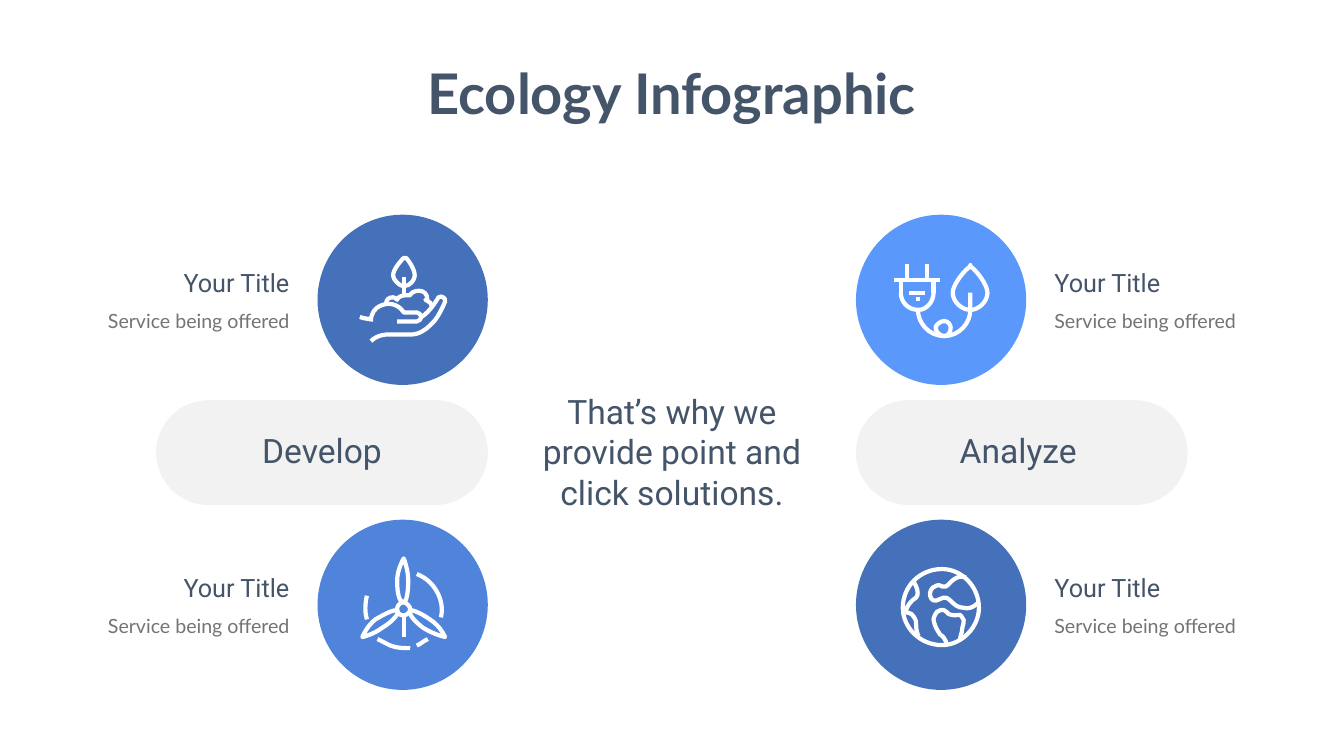
from dataclasses import dataclass

from lxml import etree
from pptx import Presentation
from pptx.dml.color import RGBColor
from pptx.enum.shapes import MSO_CONNECTOR, MSO_SHAPE
from pptx.enum.text import MSO_AUTO_SIZE, PP_ALIGN
from pptx.oxml.ns import qn
from pptx.util import Cm, Pt

LEFT, CENTER, RIGHT = PP_ALIGN.LEFT, PP_ALIGN.CENTER, PP_ALIGN.RIGHT
OVAL, PILL = MSO_SHAPE.OVAL, MSO_SHAPE.ROUNDED_RECTANGLE
STRAIGHT = MSO_CONNECTOR.STRAIGHT
GROW = MSO_AUTO_SIZE.SHAPE_TO_FIT_TEXT

SLATE = RGBColor(0x44, 0x54, 0x69)
GRAY = RGBColor(0x73, 0x75, 0x72)
PILL_GRAY = RGBColor(0x80, 0x80, 0x80)
WHITE = RGBColor(0xFF, 0xFF, 0xFF)
SKY = RGBColor(0x5B, 0x98, 0xFB)
NAVY = RGBColor(0x45, 0x70, 0xBA)
BLUE = RGBColor(0x4F, 0x84, 0xDA)

DIAMETER = 8.58
LEFT_X, RIGHT_X = 20.29, 47.42
TOP_Y, BOTTOM_Y = 15.11, 30.48
ICON_UNIT = 0.0254

Stroke = tuple[int, ...]

PLUG: list[Stroke] = [
    (58, -66, 58, -70, 58, -70, 58, -66, 49, -62, 23, -31, 23, -14, 23, 3, 40, 20, 58, 20,
     75, 20, 92, 3, 92, -14, 92, -31, 67, -62, 58, -66),
    (-15, -40, -15, -14),
    (-80, -14, -80, -41),
    (-15, -14, -15, 3, -28, 20, -45, 20, -67, 20, -80, 3, -80, -14),
    (-93, -40, -2, -40),
    (-67, -40, -67, -71),
    (-28, -40, -28, -71),
    (-63, -14, -32, -14),
    (-50, -1, -41, -1),
    (-46, 20, -46, 46, -24, 72, 6, 72, 36, 72, 58, 46, 58, 20, 58, -14, 58, -14, 58, -14),
    (19, 55, 19, 63, 15, 72, 6, 72, -2, 72, -11, 63, -11, 55, -11, 51, -2, 42, 6, 42,
     15, 42, 19, 51, 19, 55),
]
HAND: list[Stroke] = [
    (-11, 43, 28, 43, 28, 43, 28, 43, 32, 43, 37, 38, 37, 34, 37, 30, 32, 25, 28, 25,
     2, 25, 2, 25, 2, 25, 2, 25, -7, 8, -28, 8, -28, 8, -63, 8, -63, 43),
    (37, 34, 54, 25, 71, -5, 71, -5, 75, -5, 80, -9, 80, -5, 84, -5, 84, -1, 84, 4,
     71, 34, 63, 43, 54, 51, 45, 60, 32, 69, 15, 69, -32, 69, -32, 69, -32, 69,
     -32, 69, -50, 69, -63, 82),
    (-63, 38, -63, 38, -76, 38, -85, 34),
    (7, -83, 2, -83, 2, -83, 2, -83, -2, -79, -19, -61, -19, -48, -19, -40, -6, -27, 2, -27,
     15, -27, 24, -40, 24, -48, 24, -61, 11, -79, 7, -83),
    (2, -9, 2, -45),
    (58, 13, 58, 8, 54, 4, 45, 0, 49, 0, 49, 0, 49, 0, 49, -13, 41, -18, 32, -18,
     23, -18, 15, -13, 15, -9, 10, -9, 10, -9, 6, -9, -2, -9, -11, -5, -11, 0,
     -15, -5, -20, -5, -20, -5, -28, -5, -33, 0, -33, 8),
]
GLOBE: list[Stroke] = [
    (75, 6, 75, 45, 40, 80, 2, 80, -42, 80, -76, 45, -76, 6, -76, -37, -42, -71, 2, -71,
     40, -71, 75, -37, 75, 6),
    (49, -54, 49, -54, 36, -62, 19, -45, 2, -24, 2, -45, -11, -37, -29, -32, -24, 2, -3, -11,
     19, -24, 19, 6, 45, 6, 62, 11, 75, -6, 75, -6),
    (37, 72, 37, 72, 37, 67, 41, 54, 41, 41, 50, 32, 41, 24, 37, 15, 33, 24, 20, 20,
     11, 20, 11, 7, -2, 11, -11, 11, -15, 28, -15, 28, -15, 28, -15, 41, -2, 59,
     11, 67, 11, 80, 11, 80),
    (-54, -45, -54, -45, -37, -19, -54, -11, -67, -2, -71, 15, -71, 15),
    (-71, 15, -71, 15, -58, 15, -54, 24, -45, 37, -54, 41, -45, 62),
]
TURBINE: list[Stroke] = [
    (15, 8, 15, 16, 7, 21, 2, 21, -7, 21, -11, 16, -11, 8, -11, 4, -7, -5, 2, -5,
     7, -5, 15, 4, 15, 8),
    (2, -5, -7, -5, -11, -23, -11, -48, -11, -70, 2, -92, 2, -92, 2, -92, 11, -70, 11, -48,
     11, -23, 7, -5, 2, -5),
    (15, 12, 15, 8, 36, 16, 54, 29, 75, 42, 84, 64, 84, 64, 84, 64, 62, 59, 41, 46,
     23, 33, 10, 16, 15, 12),
    (-10, 12, -15, 8, -32, 16, -54, 29, -71, 42, -80, 64, -80, 64, -80, 64, -58, 59, -41, 46,
     -19, 33, -6, 16, -10, 12),
    (2, 64, 2, 20),
    (-71, 29, -75, 16, -75, -1, -71, -18),
    (15, 86, 2, 86, -11, 86, -24, 81, -33, 77, -41, 72, -50, 68),
    (50, 68, 41, 72, 37, 77, 28, 81),
    (28, -61, 63, -48, 84, -9, 76, 25),
]


@dataclass(frozen=True)
class Service:
    x: float
    y: float
    color: RGBColor
    icon: list[Stroke]
    caption_x: float
    align: PP_ALIGN


@dataclass(frozen=True)
class Stage:
    x: float
    label_x: float
    label: str


SERVICES = [
    Service(RIGHT_X, TOP_Y, SKY, PLUG, 52.88, LEFT),
    Service(RIGHT_X, BOTTOM_Y, NAVY, GLOBE, 52.88, LEFT),
    Service(LEFT_X, TOP_Y, NAVY, HAND, 3.91, RIGHT),
    Service(LEFT_X, BOTTOM_Y, BLUE, TURBINE, 3.91, RIGHT),
]
STAGES = [Stage(7.87, 11.96, "Develop"), Stage(43.13, 47.04, "Analyze")]


def add_text(s, text: str, x: float, y: float, w: float, h: float, *, size: int,
             font: str = "Roboto", color: RGBColor = SLATE, align: PP_ALIGN = CENTER,
             bold: bool = False, wrap: bool = True) -> None:
    tf = s.shapes.add_textbox(Cm(x), Cm(y), Cm(w), Cm(h)).text_frame
    tf.word_wrap = wrap
    tf.auto_size = GROW
    p = tf.paragraphs[0]
    p.alignment = align
    r = p.add_run()
    r.text = text
    r.font.name = font
    r.font.size = Pt(size)
    r.font.bold = bold
    r.font.color.rgb = color


def add_filled(s, kind: MSO_SHAPE, x: float, y: float, w: float, h: float, color: RGBColor):
    sp = s.shapes.add_shape(kind, Cm(x), Cm(y), Cm(w), Cm(h))
    sp.shadow.inherit = False
    sp.fill.solid()
    sp.fill.fore_color.rgb = color
    sp.line.fill.background()
    return sp


def add_line(s, stroke: Stroke, x: float, y: float):
    x1, y1, x2, y2 = (v * ICON_UNIT for v in stroke)
    sp = s.shapes.add_connector(STRAIGHT, Cm(x + x1), Cm(y + y1), Cm(x + x2), Cm(y + y2))
    etree.SubElement(sp._element.spPr, qn("a:effectLst"))
    return sp


def add_curve(s, stroke: Stroke, x: float, y: float):
    start, *points = zip(stroke[::2], stroke[1::2])
    builder = s.shapes.build_freeform(*start, scale=Cm(ICON_UNIT))
    builder.add_line_segments(points, close=False)
    sp = builder.convert_to_shape(Cm(x), Cm(y))
    sp.shadow.inherit = False
    sp.fill.background()
    segments = list(sp._element.spPr.iter(qn("a:lnTo")))
    outline = segments[0].getparent()
    for i in range(0, len(segments), 3):
        bezier = etree.SubElement(outline, qn("a:cubicBezTo"))
        for segment in segments[i:i + 3]:
            bezier.append(segment[0])
            outline.remove(segment)
    return sp


def add_stroke(s, stroke: Stroke, x: float, y: float) -> None:
    draw = add_line if len(stroke) == 4 else add_curve
    sp = draw(s, stroke, x, y)
    sp.line.color.rgb = WHITE
    sp.line.width = Pt(6)


def add_service(s, item: Service) -> None:
    add_filled(s, OVAL, item.x - DIAMETER / 2, item.y - DIAMETER / 2, DIAMETER, DIAMETER,
               item.color)
    for stroke in item.icon:
        add_stroke(s, stroke, item.x, item.y)
    add_text(s, "Your Title", item.caption_x, item.y - 1.78, 10.92, 1.8, size=36,
             align=item.align)
    add_text(s, "Service being offered", item.caption_x, item.y + 0.31, 10.92, 1.45, size=28,
             font="Lato", color=GRAY, align=item.align)


def add_stage(s, stage: Stage) -> None:
    sp = add_filled(s, PILL, stage.x, 20.17, 16.71, 5.28, PILL_GRAY)
    sp.adjustments[0] = 0.5
    srgb = sp._element.spPr.find(qn("a:solidFill")).find(qn("a:srgbClr"))
    etree.SubElement(srgb, qn("a:alpha"), val="10000")
    add_text(s, stage.label, stage.label_x, 21.54, 8.53, 2.31, size=48)


def main() -> None:
    prs = Presentation()
    prs.slide_width, prs.slide_height = Cm(67.72), Cm(38.1)
    s = prs.slides.add_slide(prs.slide_layouts[6])
    for item in SERVICES:
        add_service(s, item)
    for stage in STAGES:
        add_stage(s, stage)
    add_text(s, "That’s why we provide point and click solutions.", 26.06, 19.58, 15.6, 6.4,
             size=48)
    add_text(s, "Ecology Infographic", 21.01, 2.84, 25.68, 3.68, size=80, font="Lato",
             bold=True, wrap=False)
    prs.save("out.pptx")


if __name__ == "__main__":
    main()
